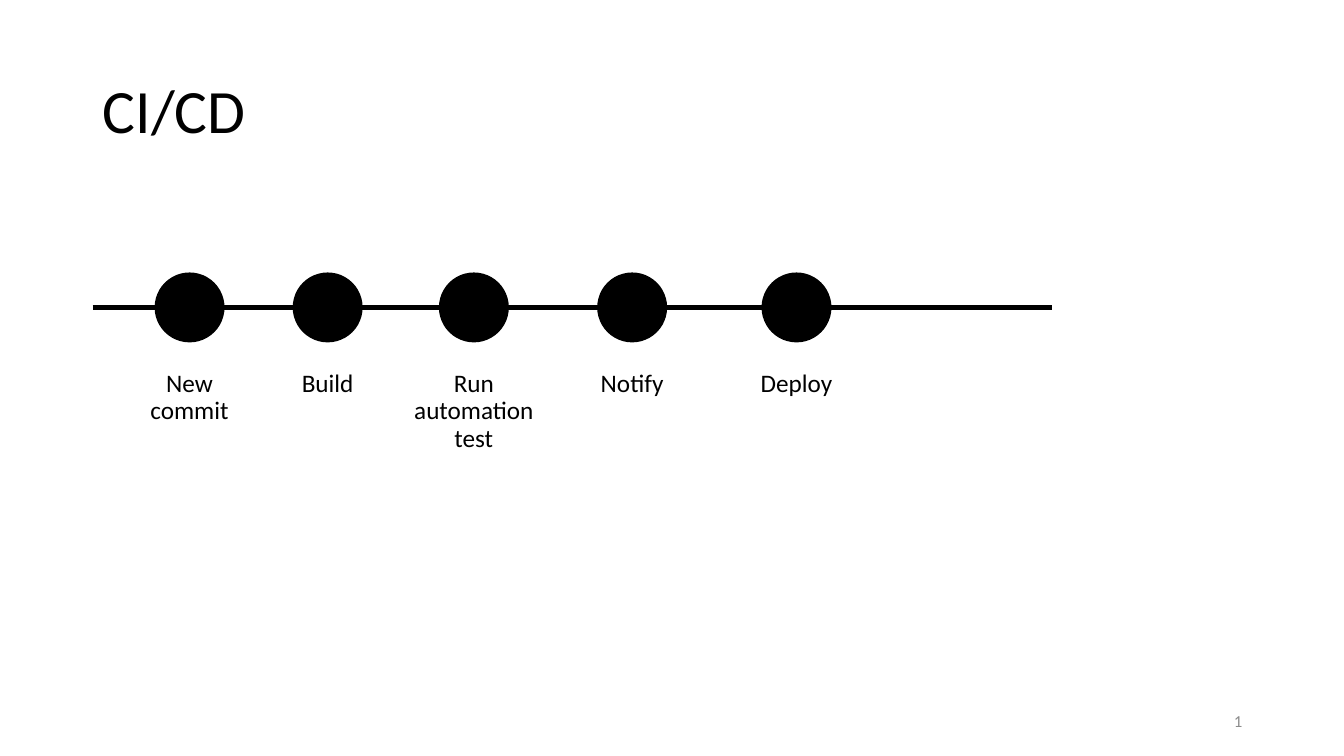
from lxml import etree
from pptx import Presentation
from pptx.dml.color import RGBColor
from pptx.enum import shapes, text
from pptx.oxml import ns
from pptx.util import Inches, Pt


def rgb(value):
    return RGBColor.from_string(value)


class TimelineSlide:
    font = "Calibri"
    ink = "000000"
    muted = "8C8C8C"

    def __init__(self, presentation):
        layout = presentation.slide_layouts[1]
        self.slide = presentation.slides.add_slide(layout)
        self.items = self.slide.shapes

    def set_words(self, holder, words, box, size, align, anchor, color=ink, spacing=0.9):
        holder.left, holder.top, holder.width, holder.height = map(Inches, box)
        frame = holder.text_frame
        frame.text = words
        frame.word_wrap = True
        frame.auto_size = text.MSO_AUTO_SIZE.NONE
        frame.vertical_anchor = anchor
        paragraph = frame.paragraphs[0]
        properties = paragraph._p.get_or_add_pPr()
        properties.set("marL", "0")
        properties.set("indent", "0")
        etree.SubElement(properties, ns.qn("a:buNone"))
        paragraph.alignment = align
        paragraph.line_spacing = spacing
        paragraph.space_before = Pt(0)
        font = paragraph.runs[0].font
        font.name, font.size = self.font, Pt(size)
        font.color.rgb = rgb(color)

    def title(self, words):
        self.set_words(self.items.title, words, (0.92, 0.4, 11.5, 1.45), 44,
                       text.PP_ALIGN.LEFT, text.MSO_ANCHOR.MIDDLE)

    def label(self, words, center, width, holder=None):
        holder = holder or self.items.add_textbox(0, 0, 0, 0)
        self.set_words(holder, words, (center - width / 2, 3.63, width, 0.63), 18,
                       text.PP_ALIGN.CENTER, text.MSO_ANCHOR.TOP)

    def page_number(self, number):
        self.set_words(self.items.add_textbox(0, 0, 0, 0), number,
                       (9.42, 6.95, 3, 0.4), 12, text.PP_ALIGN.RIGHT,
                       text.MSO_ANCHOR.MIDDLE, self.muted, 1.0)

    def axis(self, start, end, y):
        line = self.items.add_connector(
            shapes.MSO_CONNECTOR.STRAIGHT,
            Inches(start), Inches(y), Inches(end), Inches(y))
        line.line.color.rgb = rgb(self.ink)
        line.line.width = Pt(3)
        etree.SubElement(line._element.spPr, ns.qn("a:effectLst"))

    def milestone(self, center, y, size=0.68):
        dot = self.items.add_shape(
            shapes.MSO_SHAPE.OVAL, Inches(center - size / 2),
            Inches(y - size / 2), Inches(size), Inches(size))
        dot.shadow.inherit = False
        dot.fill.solid()
        dot.fill.fore_color.rgb = rgb(self.ink)
        dot.line.color.rgb = rgb(self.ink)
        dot.line.width = Pt(1)


def main():
    presentation = Presentation()
    presentation.slide_width = Inches(13.33)
    presentation.slide_height = Inches(7.5)
    pipeline = TimelineSlide(presentation)

    # Heading and page number
    pipeline.title("CI/CD")
    pipeline.page_number("1")

    # Timeline: stage, centre, label width
    axis_y = 3.05
    stages = [
        ("New commit", 1.88, 1.2),
        ("Build", 3.25, 1.2),
        ("Run automation test", 4.7, 1.8),
        ("Notify", 6.27, 1.2),
        ("Deploy", 7.9, 1.2),
    ]
    pipeline.axis(0.92, 10.43, axis_y)
    first_label = pipeline.slide.placeholders[1]
    for index, (stage, center, width) in enumerate(stages):
        pipeline.label(stage, center, width, None if index else first_label)
        pipeline.milestone(center, axis_y)

    presentation.save("out.pptx")


if __name__ == "__main__":
    main()
